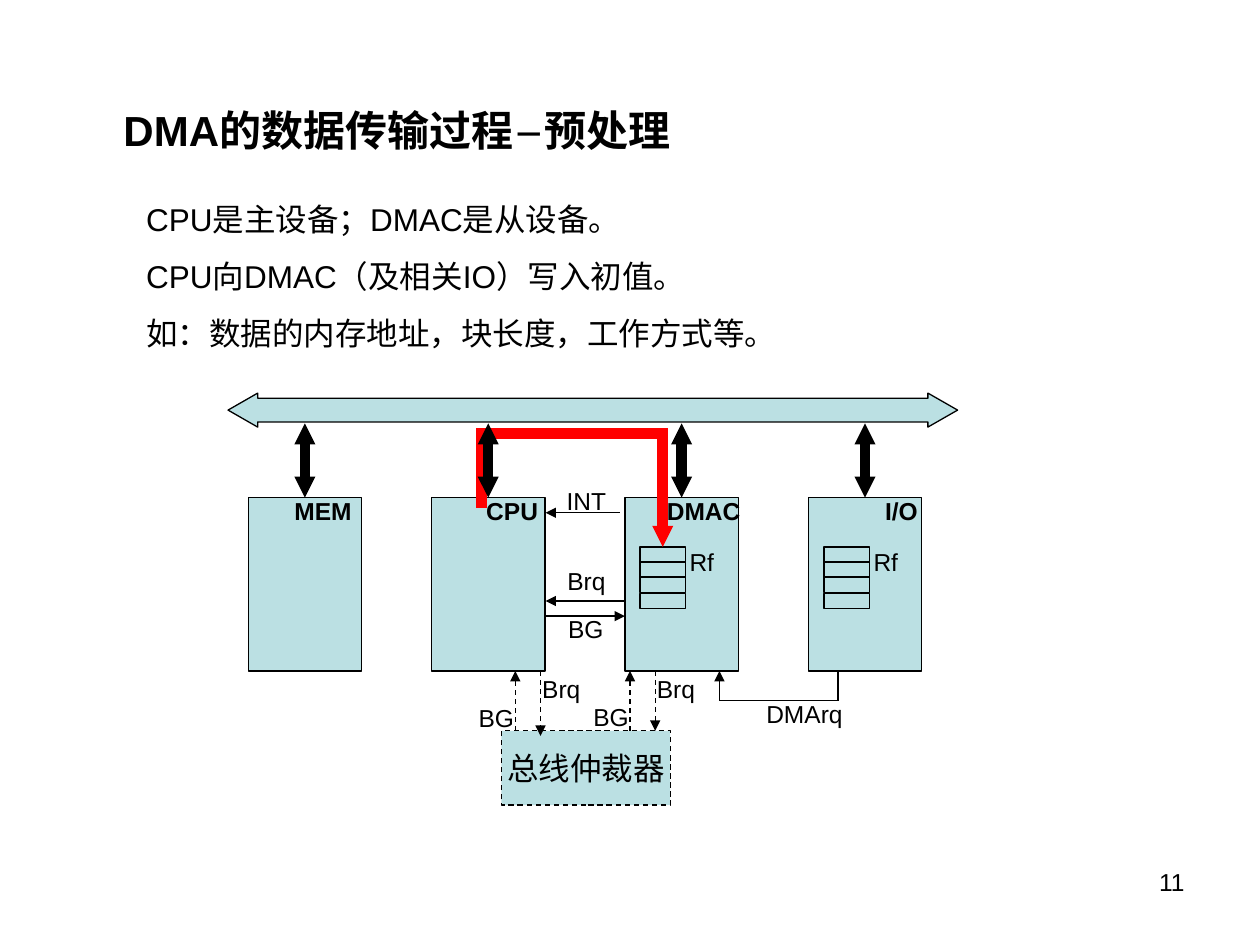
from dataclasses import dataclass

from lxml.etree import SubElement
from pptx import Presentation
from pptx.dml.color import RGBColor
from pptx.enum.dml import MSO_LINE
from pptx.enum.shapes import MSO_CONNECTOR, MSO_SHAPE
from pptx.enum.text import MSO_ANCHOR, MSO_AUTO_SIZE, PP_ALIGN
from pptx.oxml.ns import qn
from pptx.util import Inches, Pt


@dataclass(frozen=True)
class Theme:
    font: str = "Arial"
    ink: RGBColor = RGBColor(0, 0, 0)
    block: RGBColor = RGBColor(0xBB, 0xE0, 0xE3)
    path_red: RGBColor = RGBColor(0xFF, 0, 0)
    title_size: int = 24
    body_size: int = 18
    label_size: int = 14
    thin: float = 0.75
    thick: float = 6


def write_text(box, lines, *, theme, size, bold=False, align=PP_ALIGN.LEFT,
               anchor=MSO_ANCHOR.TOP, spacing=None, wrap=False, inset=0.05):
    frame = box.text_frame
    frame.word_wrap = wrap
    frame.auto_size = MSO_AUTO_SIZE.NONE
    frame.vertical_anchor = anchor
    frame.margin_left = frame.margin_right = Inches(0.1)
    frame.margin_top = frame.margin_bottom = Inches(inset)
    for index, spans in enumerate(lines):
        para = frame.paragraphs[0] if index == 0 else frame.add_paragraph()
        properties = para._p.get_or_add_pPr()
        properties.set("marL", "0")
        properties.set("indent", "0")
        SubElement(properties, qn("a:buNone"))
        para.alignment = align
        para.space_before = Pt(0)
        if spacing:
            para.line_spacing = spacing
        for text, span_size in spans:
            span = para.add_run()
            span.text = text
            span.font.name = theme.font
            span.font.size = Pt(span_size or size)
            span.font.bold = bold
            span.font.color.rgb = theme.ink


class DiagramPage:
    columns = 100

    def __init__(self, deck, theme):
        self.theme = theme
        self.unit = deck.slide_width / self.columns
        self.page = deck.slides.add_slide(deck.slide_layouts[1])

    def grid(self, *cells):
        return [round(cell * self.unit) for cell in cells]

    def placeholder(self, index, area, lines, **style):
        box = self.page.placeholders[index]
        box.left, box.top, box.width, box.height = self.grid(*area)
        write_text(box, lines, theme=self.theme, wrap=True, **style)

    def text(self, area, text, **style):
        box = self.page.shapes.add_textbox(*self.grid(*area))
        style = {"size": self.theme.label_size, **style}
        write_text(box, [[(text, None)]], theme=self.theme, **style)

    def label(self, text, column, row, *, width=4.1, height=1.3, **style):
        area = (column - width / 2, row - height / 2, width, height)
        self.text(area, text, align=PP_ALIGN.CENTER, anchor=MSO_ANCHOR.MIDDLE, **style)

    def shape(self, area, kind=MSO_SHAPE.RECTANGLE, *, filled=True, dashed=False):
        box = self.page.shapes.add_shape(kind, *self.grid(*area))
        box.shadow.inherit = False
        if filled:
            box.fill.solid()
            box.fill.fore_color.rgb = self.theme.block
        else:
            box.fill.background()
        self.stroke(box.line, self.theme.ink, self.theme.thin, dashed)
        return box

    def stroke(self, line, color, width, dashed):
        line.color.rgb = color
        line.width = Pt(width)
        if dashed:
            line.dash_style = MSO_LINE.DASH

    def line(self, start, end, *, color=None, width=None, dashed=False,
             ends=("tailEnd",), target=None):
        link = self.page.shapes.add_connector(
            MSO_CONNECTOR.STRAIGHT, *self.grid(*start, *end))
        if target is not None:
            link.end_connect(target, 0)
        self.stroke(link.line, color or self.theme.ink, width or self.theme.thin, dashed)
        head = "sm" if width == self.theme.thick else "med"
        for end_name in ends:
            SubElement(link.line._get_or_add_ln(), qn(f"a:{end_name}"),
                       type="triangle", w=head, len=head)
        SubElement(link._element.spPr, qn("a:effectLst"))

    def registers(self, left):
        stack = [self.shape((left, row, 3.6, 1.2), filled=False)
                 for row in (43.4, 44.6, 45.8, 47.1)]
        self.label("Rf", left + 4.9, 44.6, width=1.2, height=0.8, inset=0.03)
        return stack[0]

    def bus_link(self, column, device):
        self.line((column, 33.6), (column, DEVICE_TOP), width=self.theme.thick,
                  ends=("headEnd", "tailEnd"), target=device)


DEVICE_TOP, DEVICE_WIDTH, DEVICE_HEIGHT = 39.5, 9, 13.75
DEVICE_BOTTOM = DEVICE_TOP + DEVICE_HEIGHT
DEVICE_LEFTS = {"MEM": 19.7, "CPU": 34.25, "DMAC": 49.6, "I/O": 64.15}
NAME_CENTRES = {"MEM": 25.65, "CPU": 40.65, "I/O": 71.55, "DMAC": 55.85}


def draw_text(page, theme):
    page.placeholder(0, (8.8, 7.8, 52, 5),
                     [[("DMA的数据传输过程", None), ("－", theme.body_size), ("预处理", None)]],
                     size=theme.title_size, bold=True)
    page.placeholder(1, (10.6, 13.9, 56, 14.5),
                     [[("CPU是主设备；DMAC是从设备。", None)],
                      [("CPU向DMAC（及相关IO）写入初值。", None)],
                      [("如：数据的内存地址，块长度，工作方式等。", None)]],
                     size=theme.body_size, spacing=1.5)
    page.text((71.7, 68.3, 23.3, 5.2), "11", align=PP_ALIGN.RIGHT, wrap=True)


def draw_bus(page, theme):
    devices = {name: page.shape((left, DEVICE_TOP, DEVICE_WIDTH, DEVICE_HEIGHT))
               for name, left in DEVICE_LEFTS.items()}
    middles = {name: left + DEVICE_WIDTH / 2 for name, left in DEVICE_LEFTS.items()}
    bus = page.shape((18.1, 31.2, 57.9, 2.7), MSO_SHAPE.LEFT_RIGHT_ARROW)
    bus.adjustments[0], bus.adjustments[1] = 0.696, 0.873
    for name in ("MEM", "DMAC", "I/O"):
        page.bus_link(middles[name], devices[name])
    target = page.registers(50.8)
    page.registers(65.4)

    red = {"color": theme.path_red, "width": theme.thick}
    page.line((38.2, 40.3), (38.2, 34.4), ends=(), **red)
    page.line((37.8, 34.4), (53, 34.4), ends=(), **red)
    page.line((52.6, 34.4), (52.6, 43.4), target=target, **red)
    for name, column in NAME_CENTRES.items():
        page.label(name, column, 40.55, bold=True)
    page.bus_link(middles["CPU"], devices["CPU"])


def draw_signals(page, theme):
    cpu_right, dmac_left = 43.3, 49.6
    page.line((49.2, 40.7), (cpu_right, 40.7))
    page.line((dmac_left, 47.7), (cpu_right, 47.7))
    page.line((cpu_right, 48.9), (dmac_left, 48.9))

    page.line((66.5, DEVICE_BOTTOM), (66.5, 55.6), ends=())
    page.line((66.5, 55.6), (57.1, 55.6), ends=())
    page.line((57.1, 55.6), (57.1, DEVICE_BOTTOM))

    arbiter = page.shape((39.8, 58, 13.4, 5.9), dashed=True)
    write_text(arbiter, [[("总线仲裁器", None)]], theme=theme, size=theme.body_size,
               align=PP_ALIGN.CENTER, anchor=MSO_ANCHOR.MIDDLE)
    for grant, request, request_end in ((40.9, 42.9, 58.4), (50, 52, 58)):
        page.line((request, DEVICE_BOTTOM), (request, request_end), dashed=True)
        page.line((grant, 58), (grant, DEVICE_BOTTOM), dashed=True)

    for text, column, row in (("INT", 46.55, 39.75), ("Brq", 46.55, 46.05),
                              ("BG", 46.5, 49.9), ("DMArq", 63.85, 56.65),
                              ("Brq", 44.55, 54.65), ("Brq", 53.65, 54.65),
                              ("BG", 48.5, 56.85), ("BG", 39.4, 57)):
        page.label(text, column, row)


def main():
    theme = Theme()
    deck = Presentation()
    deck.slide_width, deck.slide_height = Inches(10), Inches(7.5)
    page = DiagramPage(deck, theme)
    draw_text(page, theme)
    draw_bus(page, theme)
    draw_signals(page, theme)
    deck.save("out.pptx")


if __name__ == "__main__":
    main()
